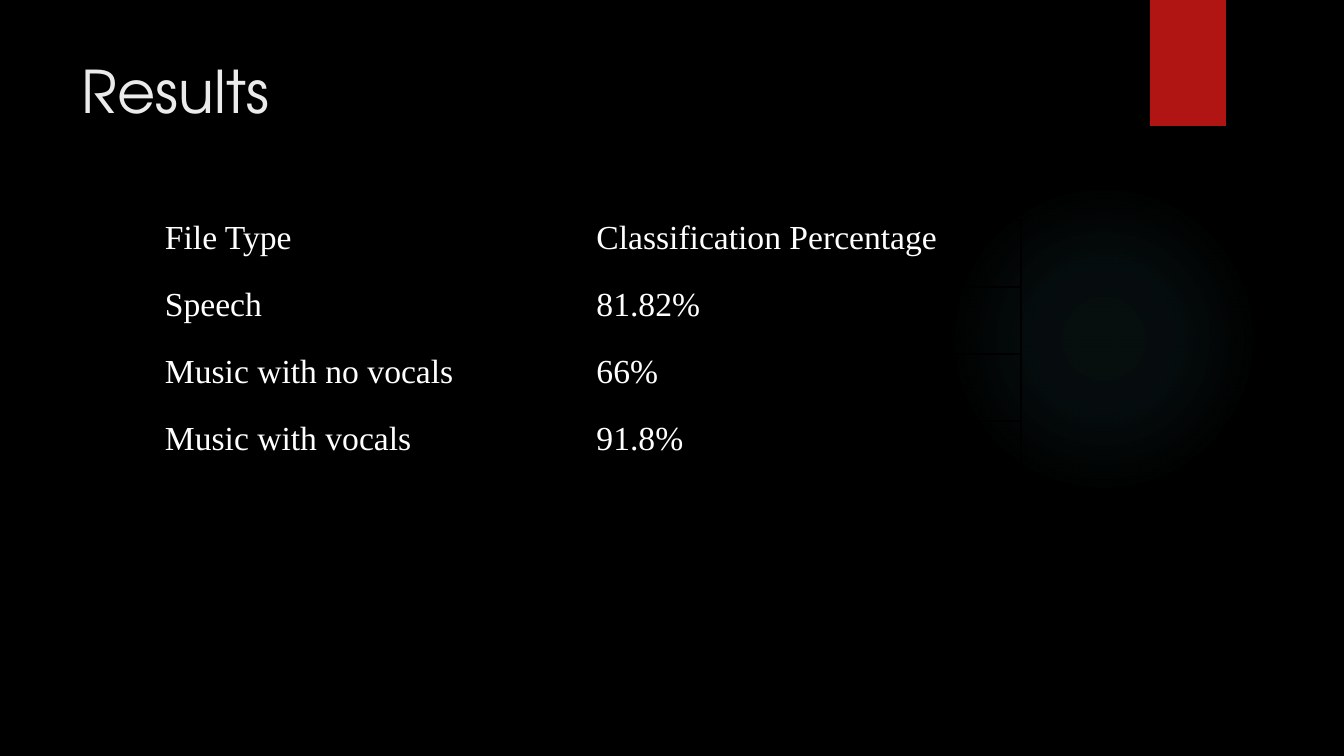
import pptx
import pptx.dml.color
import pptx.enum.shapes
import pptx.enum.text
import pptx.oxml
import pptx.oxml.ns
import pptx.util

EMU_PER_PX = 914400 / 100.8
COLORS = {"page": "000000", "glow": "50B9C1", "tab": "B01513",
          "title": "EBEBEB", "text": "FFFFFF", "border": "000000"}
GLOW_STOPS = [(0, 7), (36, 6), (69, 0)]
RESULTS = [("File Type", "Classification Percentage"),
           ("Speech", "81.82%"),
           ("Music with no vocals", "66%"),
           ("Music with vocals", "91.8%")]


def px(length):
    """Turn pixels into EMU."""
    return pptx.util.Emu(round(length * EMU_PER_PX))


def color(name):
    """Look up a named colour."""
    return pptx.dml.color.RGBColor.from_string(COLORS[name])


def style_font(font, family, size, name):
    """Set typeface, size and colour of a font."""
    font.name = family
    font.size = pptx.util.Pt(size)
    font.color.rgb = color(name)


def add_plain_shape(page, kind, box):
    """Add a preset shape without line or shadow."""
    shape = page.shapes.add_shape(kind, *map(px, box))
    shape.shadow.inherit = False
    shape.line.fill.background()
    return shape


def add_decoration(page, glow_box, tab_box):
    """Draw the soft round glow and the red tab."""
    kinds = pptx.enum.shapes.MSO_SHAPE
    glow = add_plain_shape(page, kinds.OVAL, glow_box)
    stops = "".join(
        f'<a:gs pos="{place * 1000}"><a:srgbClr val="{COLORS["glow"]}">'
        f'<a:alpha val="{alpha * 1000}"/></a:srgbClr></a:gs>'
        for place, alpha in GLOW_STOPS)
    gradient = pptx.oxml.parse_xml(
        f'<a:gradFill {pptx.oxml.ns.nsdecls("a")}><a:gsLst>{stops}</a:gsLst>'
        '<a:path path="circle"><a:fillToRect l="50000" t="50000" r="50000" b="50000"/>'
        '</a:path></a:gradFill>')
    glow.element.spPr.find(pptx.oxml.ns.qn("a:prstGeom")).addnext(gradient)
    tab = add_plain_shape(page, kinds.RECTANGLE, tab_box)
    tab.fill.solid()
    tab.fill.fore_color.rgb = color("tab")


def add_title(page, box, text):
    """Place the slide title."""
    frame = page.shapes.add_textbox(*map(px, box)).text_frame
    frame.word_wrap = True
    frame.text = text
    style_font(frame.paragraphs[0].runs[0].font, "TeX Gyre Adventor", 42, "title")


def style_cell(cell):
    """Format a table cell and its four borders."""
    cell.margin_left = cell.margin_right = px(7)
    cell.margin_top = cell.margin_bottom = 0
    cell.fill.background()
    for position, side in enumerate("LRTB"):
        cell._tc.get_or_add_tcPr().insert(position, pptx.oxml.parse_xml(
            f'<a:ln{side} {pptx.oxml.ns.nsdecls("a")} w="12700"><a:solidFill>'
            f'<a:srgbClr val="{COLORS["border"]}"/></a:solidFill></a:ln{side}>'))
    para = cell.text_frame.paragraphs[0]
    para.alignment = pptx.enum.text.PP_ALIGN.JUSTIFY
    para.space_after = pptx.util.Pt(4)
    style_font(para.runs[0].font, "Times New Roman", 24, "text")


def add_results_table(page, box, rows):
    """Fill the box with an evenly divided table."""
    table = page.shapes.add_table(len(rows), len(rows[0]), *map(px, box)).table
    table.first_row = table.horz_banding = False
    for row_index, row in enumerate(rows):
        for column_index, text in enumerate(row):
            cell = table.cell(row_index, column_index)
            cell.text_frame.text = text
            style_cell(cell)


def main():
    """Build and save the results slide."""
    deck = pptx.Presentation()
    deck.slide_width, deck.slide_height = px(1344), px(756)
    page = deck.slides.add_slide(deck.slide_layouts[6])
    page.background.fill.solid()
    page.background.fill.fore_color.rgb = color("page")
    add_decoration(page, (949, 184, 310, 310), (1150, 0, 76, 126))
    add_title(page, (72, 50, 1037, 154), "Results")
    add_results_table(page, (158, 220, 863, 268), RESULTS)
    deck.save("out.pptx")


if __name__ == "__main__":
    main()
